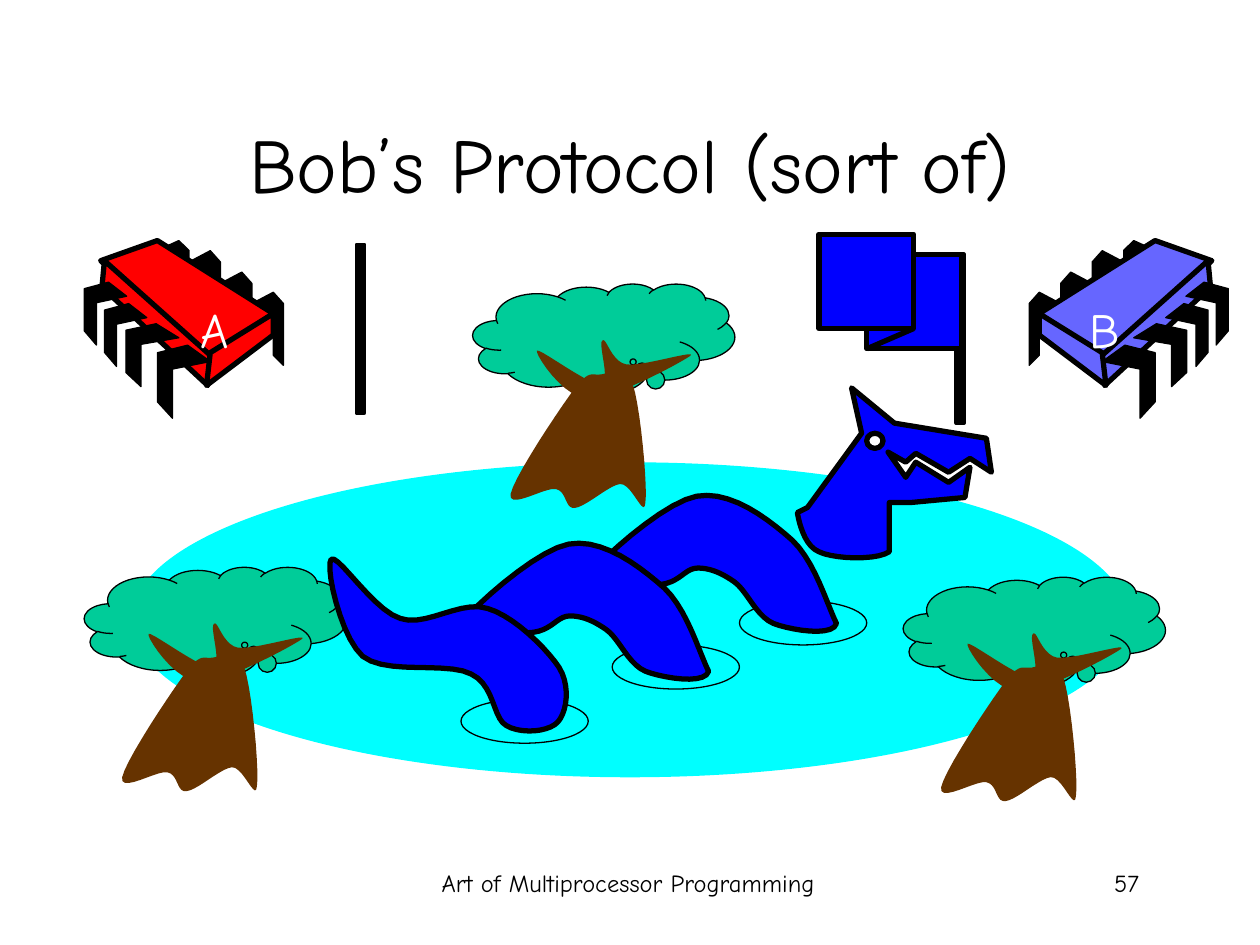
import lxml.etree
import pptx
import pptx.dml.color
import pptx.enum.shapes
import pptx.enum.text
import pptx.oxml.ns
import pptx.util

COLORS = {
    "black": "000000", "white": "FFFFFF", "red": "FF0000", "violet": "6666FF",
    "water": "00FFFF", "leaf": "00CC99", "wood": "663300", "blue": "0000FF",
}
FONT = "Comic Neue"
UNIT = pptx.util.Cm(0.0254)
STEPS = 10
SHAPE = pptx.enum.shapes.MSO_SHAPE
ALIGN = pptx.enum.text.PP_ALIGN

BACK_PIN = [(0, 9), (17, 0), (25, 9), (25, 58), (17, 50), (17, 17), (0, 25)]
FRONT_PIN = [(24, 0), (42, 13), (12, 19), (12, 58), (0, 45), (0, 6)]
BACK_PINS = [(133, 41, 1, 1), (108, 25, 1, 1), (83, 8, 1, 1), (58, 0, 1, 0.86)]
FRONT_PINS = [(58, 83, 1, 1), (33, 66, 1, 0.86), (16, 50, 0.8, 0.86), (0, 33, 0.8, 0.86)]
CHIP_FACES = [
    [(58, 0), (150, 58), (98, 93), (13, 16)],
    [(16, 16), (100, 91), (98, 115), (14, 37)],
    [(150, 58), (150, 75), (97, 115), (100, 89)],
]
CHIP_WIDTH = 150
TRUNK = [
    (81, 83), (93, 68, 94, 73, 102, 72), (109, 71, 121, 63, 127, 80),
    (133, 97, 139, 161, 137, 174), (136, 187, 126, 158, 117, 159),
    (108, 160, 90, 177, 81, 178), (73, 179, 75, 165, 66, 163),
    (58, 161, 28, 180, 30, 167), (33, 153, 69, 99, 81, 83),
]
BRANCHES = [
    (51, 53), (49, 55, 71, 90, 91, 91), (112, 92, 168, 61, 173, 57),
    (178, 52, 134, 66, 122, 64), (110, 62, 106, 42, 103, 45),
    (99, 47, 110, 78, 102, 80), (93, 81, 53, 51, 51, 53),
]
HUMP = [
    (203, 106), (200, 117, 166, 111, 153, 106), (139, 100, 132, 80, 122, 73),
    (112, 66, 103, 62, 93, 62), (83, 62, 79, 73, 64, 75), (50, 76, 0, 83, 5, 71),
    (10, 60, 65, 10, 92, 5), (119, 0, 149, 23, 168, 40), (186, 57, 196, 92, 203, 106),
]
HEAD = [
    (8, 95), (51, 36), (43, 0), (77, 28), (150, 40), (154, 67), (137, 56), (120, 67),
    (94, 52), (86, 59), (72, 51), (86, 71), (94, 59), (120, 75), (137, 63), (133, 87),
    (90, 91), (73, 91), (73, 130), (63, 137, 29, 136, 17, 130), (5, 125, 1, 105, 0, 99),
]
TAIL = [
    (5, 5), (10, 0, 39, 46, 60, 52), (80, 59, 108, 37, 129, 44),
    (150, 50, 176, 76, 186, 91), (195, 106, 192, 126, 185, 134),
    (178, 142, 156, 144, 144, 137), (133, 131, 135, 105, 116, 96),
    (97, 86, 49, 97, 30, 82), (12, 66, 0, 10, 5, 5),
]


def rgb(name):
    """Return the named colour."""
    return pptx.dml.color.RGBColor.from_string(COLORS[name])


def paint(shape, fill=None, width=None):
    """Set the fill and the black outline, or leave either out."""
    shape.shadow.inherit = False
    if fill:
        shape.fill.solid()
        shape.fill.fore_color.rgb = rgb(fill)
    else:
        shape.fill.background()
    if width:
        shape.line.color.rgb = rgb("black")
        shape.line.width = pptx.util.Pt(width)
    else:
        shape.line.fill.background()


def flatten(outline):
    """Turn corners and cubic curves into a list of points."""
    points = []
    for part in outline:
        if len(part) == 2:
            points.append(part)
            continue
        x, y = points[-1]
        for step in range(1, STEPS + 1):
            t = step / STEPS
            weights = ((1 - t) ** 3, 3 * t * (1 - t) ** 2, 3 * t * t * (1 - t), t ** 3)
            points.append(tuple(
                sum(weight * value for weight, value in zip(weights, values))
                for values in ((x, *part[0::2]), (y, *part[1::2]))
            ))
    return points


def add_outline(shapes, origin, outline, fill, width=None, offset=(0, 0)):
    """Draw a closed outline, given in units, at an offset from the origin."""
    points = [
        tuple(start + (shift + value) * UNIT for start, shift, value in zip(origin, offset, point))
        for point in flatten(outline)
    ]
    builder = shapes.build_freeform(*points[0], scale=1.0)
    builder.add_line_segments(points[1:], close=True)
    paint(builder.convert_to_shape(), fill, width)


def add_part(shapes, kind, origin, area, fill=None, width=None):
    """Draw a preset shape whose area is given in units from the origin."""
    x, y, wide, high = (round(value * UNIT) for value in area)
    shape = shapes.add_shape(kind, origin[0] + x, origin[1] + y, wide, high)
    paint(shape, fill, width)
    return shape


def add_text(page, box, text, size, align, color="black"):
    """Place one line of text in a box given in centimetres."""
    frame = page.shapes.add_textbox(*map(pptx.util.Cm, box)).text_frame
    frame.word_wrap = True
    para = frame.paragraphs[0]
    para.text = text
    para.alignment = align
    para.font.name = FONT
    para.font.size = pptx.util.Pt(size)
    para.font.color.rgb = rgb(color)
    return frame


def corner(left, top):
    """Return a top left corner given in centimetres."""
    return pptx.util.Cm(left), pptx.util.Cm(top)


def add_chip(page, left, top, fill, mirrored=False):
    """Draw a processor with its pins, facing left or mirrored."""
    shapes = page.shapes.add_group_shape().shapes
    origin = corner(left, top)

    def face(points, color, width):
        """Draw one face, flipped when the chip is mirrored."""
        turned = [(CHIP_WIDTH - x if mirrored else x, y) for x, y in points]
        add_outline(shapes, origin, turned, color, width)

    def pins(points, places):
        """Draw a row of pins."""
        for x, y, wide, high in places:
            face([(x + px * wide, y + py * high) for px, py in points], "black", 0.75)

    pins(BACK_PIN, BACK_PINS)
    for points in CHIP_FACES:
        face(points, fill, 3)
    pins(FRONT_PIN, FRONT_PINS)


def add_chip_label(page, left, top, width, letter):
    """Write the letter on a processor."""
    add_text(page, (left, top, width, 1.45), letter, 28, ALIGN.RIGHT, "white")


def add_tree(page, left, top):
    """Draw a tree with its crown at the corner."""
    shapes = page.shapes.add_group_shape().shapes
    origin = corner(left, top)
    crown = add_part(shapes, SHAPE.CLOUD_CALLOUT, origin, (0, 0, 208, 87), "leaf", 0.75)
    crown.adjustments[0] = 0.112
    crown.adjustments[1] = 0.214
    add_outline(shapes, origin, TRUNK, "wood")
    add_outline(shapes, origin, BRANCHES, "wood")


def add_pole(shapes, origin, x=0, y=0):
    """Draw a flagpole."""
    add_part(shapes, SHAPE.RECTANGLE, origin, (x, y, 6, 134), "black", 2.25)


def add_flag(page, left, top):
    """Draw a raised flag folded in two on its pole."""
    shapes = page.shapes.add_group_shape().shapes
    origin = corner(left, top)
    add_pole(shapes, origin, 109, 16)
    add_part(shapes, SHAPE.RECTANGLE, origin, (38, 16, 75, 75), "blue", 3)
    ends = [start + value * UNIT for start, value in zip(origin * 2, (38, 91, 75, 75))]
    fold = shapes.add_connector(pptx.enum.shapes.MSO_CONNECTOR.STRAIGHT, *ends)
    fold.line.color.rgb = rgb("black")
    fold.line.width = pptx.util.Pt(3)
    lxml.etree.SubElement(fold._element.spPr, pptx.oxml.ns.qn("a:effectLst"))
    add_part(shapes, SHAPE.RECTANGLE, origin, (0, 0, 75, 75), "blue", 3)


def add_monster(page, left, top):
    """Draw the lake monster with the ripples around it."""
    shapes = page.shapes
    origin = corner(left, top)
    for x, y in ((228, 204), (108, 247), (329, 169)):
        add_part(shapes, SHAPE.OVAL, origin, (x, y, 101, 35), width=0.75)
    for outline, offset in ((HUMP, (203, 81)), (HUMP, (101.5, 119)), (HEAD, (375, 0))):
        add_outline(shapes, origin, outline, "blue", 3, offset)
    add_part(shapes, SHAPE.OVAL, origin, (430, 36, 13, 12), "white", 3)
    add_outline(shapes, origin, TAIL, "blue", 3, (0, 131))


def main():
    """Build the slide and save it."""
    deck = pptx.Presentation()
    deck.slide_width, deck.slide_height = corner(25.4, 19.05)
    page = deck.slides.add_slide(deck.slide_layouts[6])
    add_text(page, (8.64, 17.37, 8.05, 1.27), "Art of Multiprocessor Programming", 14, ALIGN.CENTER)
    add_text(page, (17.93, 17.37, 5.28, 1.27), "57", 14, ALIGN.RIGHT)
    title = add_text(page, (1.9, 1.7, 21.6, 3.18), "Bob’s Protocol (sort of)", 44, ALIGN.CENTER)
    title.vertical_anchor = pptx.enum.text.MSO_ANCHOR.MIDDLE
    add_chip(page, 1.7, 4.85, "red")
    add_chip(page, 20.95, 4.85, "violet", mirrored=True)
    add_part(page.shapes, SHAPE.OVAL, corner(2.64, 9.32), (0, 0, 792, 250), "water")
    add_chip_label(page, 3.63, 5.92, 1.24, "A")
    add_chip_label(page, 21.69, 5.92, 1.14, "B")
    for left, top in ((9.53, 5.72), (18.21, 11.63), (1.7, 11.43)):
        add_tree(page, left, top)
    add_flag(page, 16.51, 4.72)
    add_pole(page.shapes, corner(7.19, 4.93))
    add_monster(page, 6.55, 7.82)
    deck.save("out.pptx")


if __name__ == "__main__":
    main()
